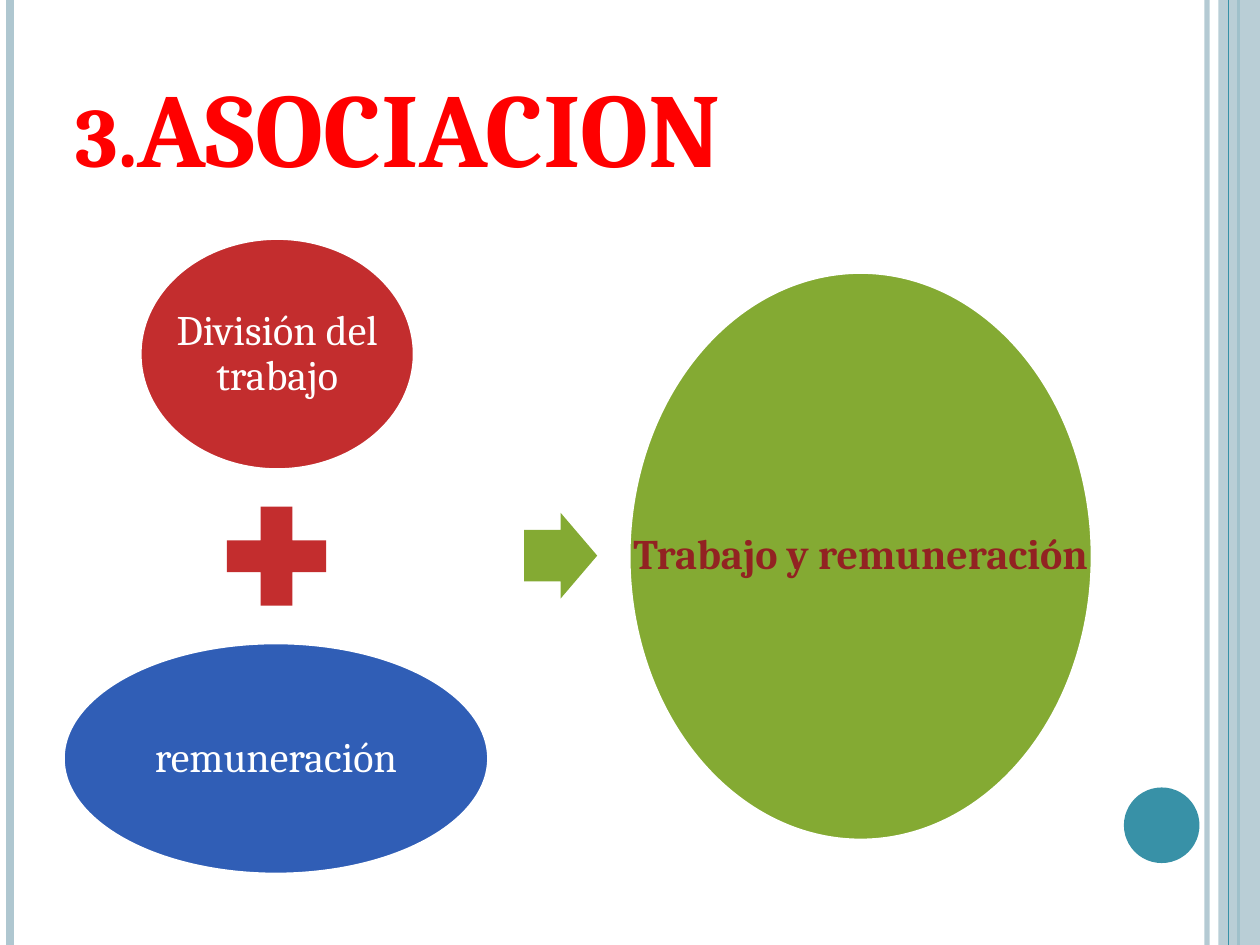
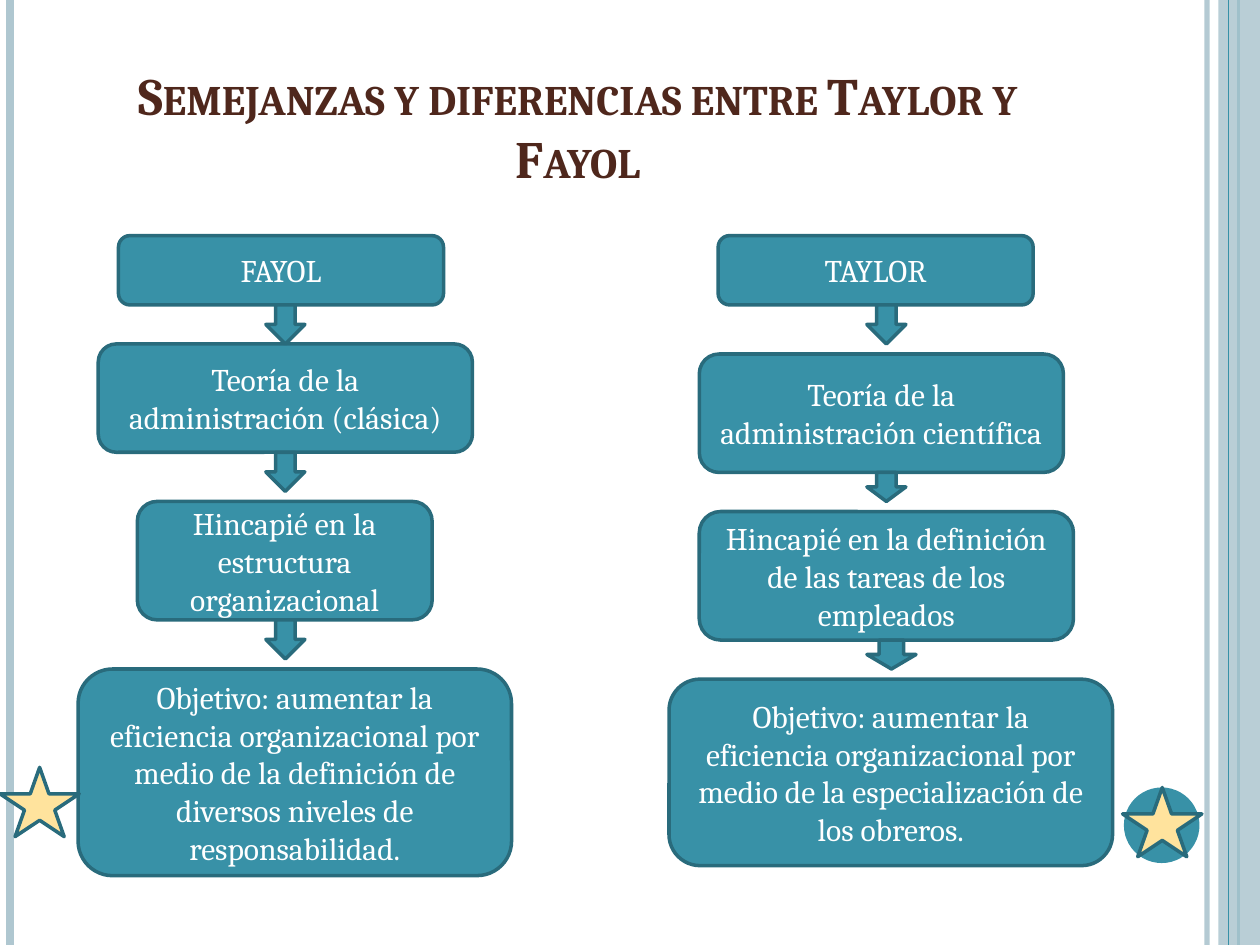
import pptx
import pptx.dml.color
import pptx.enum.shapes
import pptx.enum.text
import pptx.oxml.ns
import pptx.util
from lxml import etree

SHAPE = pptx.enum.shapes.MSO_SHAPE
ALIGN = pptx.enum.text.PP_ALIGN
ANCHOR = pptx.enum.text.MSO_ANCHOR

EMU_PER_PX = 9144  # 100 px to the inch
PAGE_WIDTH, PAGE_HEIGHT = 1000, 750

TEAL, DARK_TEAL, PALE_BLUE = "3891A7", "296B7C", "AFC7D0"
RED, BLUE, GREEN = "C32D2E", "305EB6", "84AA33"
WHITE, CREAM = "FFFFFF", "FFE39D"


def px(length):
    return pptx.util.Emu(length * EMU_PER_PX)


def rgb(hex_string):
    return pptx.dml.color.RGBColor.from_string(hex_string)


def set_opacity(element, percent):
    """Make the solid colour inside an element partly transparent."""
    colour = next(element.iter(pptx.oxml.ns.qn("a:srgbClr")))
    etree.SubElement(colour, pptx.oxml.ns.qn("a:alpha")).set("val", str(percent * 1000))


class Deck:
    font_name = "Cambria"

    def __init__(self):
        self.file = pptx.Presentation()
        self.file.slide_width = px(PAGE_WIDTH)
        self.file.slide_height = px(PAGE_HEIGHT)
        self.page = None

    def new_page(self, title, **title_format):
        layout = self.file.slide_layouts.get_by_name("Title Only")
        self.page = self.file.slides.add_slide(layout)
        self.frame()
        self.title(title, **title_format)

    def frame(self):
        """Draw the edge lines, the right band and the disc of every page."""
        edge = self.edge_line(958, PALE_BLUE, 3)
        set_opacity(edge._element.spPr, 93)
        self.edge_line(8, PALE_BLUE, 4.5)
        self.edge_line(983, TEAL, 1.5)
        band = self.shape(SHAPE.RECTANGLE, (967, 0, 33, PAGE_HEIGHT), PALE_BLUE)
        set_opacity(band._element.spPr, 87)
        self.edge_line(975, TEAL, 0.75)
        self.shape(SHAPE.OVAL, (892, 625, 60, 60), TEAL)

    def edge_line(self, x, colour, width):
        line = self.page.shapes.add_connector(
            pptx.enum.shapes.MSO_CONNECTOR.STRAIGHT, px(x), px(0), px(x), px(PAGE_HEIGHT))
        line.line.color.rgb = rgb(colour)
        line.line.width = pptx.util.Pt(width)
        etree.SubElement(line._element.spPr, pptx.oxml.ns.qn("a:effectLst"))
        return line

    def title(self, text, size, colour, align):
        box = self.page.shapes.title
        place = dict(zip(("left", "top", "width", "height"), map(px, (50, 30, 817, 125))))
        for name, value in place.items():
            setattr(box, name, value)
        box.text_frame.auto_size = pptx.enum.text.MSO_AUTO_SIZE.NONE
        span = self.add_text(box, text, size, colour, bold=True, align=align,
                             anchor=ANCHOR.BOTTOM)
        span.font._element.set("cap", "small")

    def shape(self, kind, place, fill, outline=None):
        shape = self.page.shapes.add_shape(kind, *map(px, place))
        shape.shadow.inherit = False
        shape.fill.solid()
        shape.fill.fore_color.rgb = rgb(fill)
        if outline:
            shape.line.color.rgb = rgb(outline)
            shape.line.width = pptx.util.Pt(2)
        else:
            shape.line.fill.background()
        return shape

    def add_text(self, box, text, size, colour=WHITE, bold=False,
                 align=ALIGN.CENTER, anchor=ANCHOR.MIDDLE):
        frame = box.text_frame
        frame.word_wrap = True
        frame.vertical_anchor = anchor
        para = frame.paragraphs[0]
        para.alignment = align
        span = para.add_run()
        span.text = text
        style = {"name": self.font_name, "size": pptx.util.Pt(size), "bold": bold}
        for name, value in style.items():
            setattr(span.font, name, value)
        span.font.color.rgb = rgb(colour)
        return span

    def labelled_oval(self, place, fill, text, **text_format):
        """Draw an oval whose label may use the oval's full width."""
        self.shape(SHAPE.OVAL, place, fill, WHITE)
        label = self.page.shapes.add_textbox(*map(px, place))
        for side in ("left", "top", "right", "bottom"):
            setattr(label.text_frame, "margin_" + side, px(3))
        self.add_text(label, text, 24, **text_format)
        label.text_frame.paragraphs[0].line_spacing = 0.9

    def flow(self, arrow_left, steps, arrow_sizes):
        """Draw a column of boxes with an arrow under each box but the last."""
        for place, text in steps:
            box = self.shape(SHAPE.ROUNDED_RECTANGLE, place, TEAL, DARK_TEAL)
            self.add_text(box, text, 18)
        for ((_, top, _, height), _), size in zip(steps, arrow_sizes):
            self.shape(SHAPE.DOWN_ARROW, (arrow_left, top + height, *size), TEAL, DARK_TEAL)

    def star(self, left, top):
        self.shape(SHAPE.STAR_5_POINT, (left, top, 63, 55), CREAM, DARK_TEAL)


def association_page(deck):
    deck.new_page("3.ASOCIACION", size=60, colour="FF0000", align=ALIGN.LEFT)
    deck.labelled_oval((111, 189, 218, 184), RED, "División del trabajo")
    deck.shape(SHAPE.MATH_PLUS, (166, 388, 107, 107), RED)
    deck.labelled_oval((50, 510, 338, 184), BLUE, "remuneración")
    arrow = deck.shape(SHAPE.RIGHT_ARROW, (416, 407, 58, 68), GREEN)
    arrow.adjustments[0] = 0.6
    deck.labelled_oval((499, 216, 368, 451), GREEN, "Trabajo y remuneración",
                       colour="922222", bold=True)


def comparison_page(deck):
    deck.new_page("Semejanzas y diferencias entre Taylor y Fayol",
                  size=30, colour="4F271C", align=ALIGN.CENTER)
    fayol_steps = [
        ((94, 187, 258, 55), "FAYOL"),
        ((78, 273, 297, 86), "Teoría de la administración (clásica)"),
        ((109, 398, 234, 94), "Hincapié en la estructura organizacional"),
        ((62, 531, 344, 164), "Objetivo: aumentar la eficiencia organizacional por medio de "
                              "la definición de diversos niveles de responsabilidad."),
    ]
    taylor_steps = [
        ((570, 187, 250, 55), "TAYLOR"),
        ((555, 281, 289, 94), "Teoría de la administración científica"),
        ((555, 406, 297, 102), "Hincapié en la definición de las tareas de los empleados"),
        ((531, 539, 352, 148), "Objetivo: aumentar la eficiencia organizacional por medio de "
                               "la especialización de los obreros."),
    ]
    deck.flow(211, fayol_steps, [(31, 31)] * 3)
    deck.flow(688, taylor_steps, [(31, 31), (31, 23), (39, 23)])
    deck.star(891, 625)
    deck.star(0, 609)


def main():
    deck = Deck()
    association_page(deck)
    comparison_page(deck)
    deck.file.save("out.pptx")


if __name__ == "__main__":
    main()
